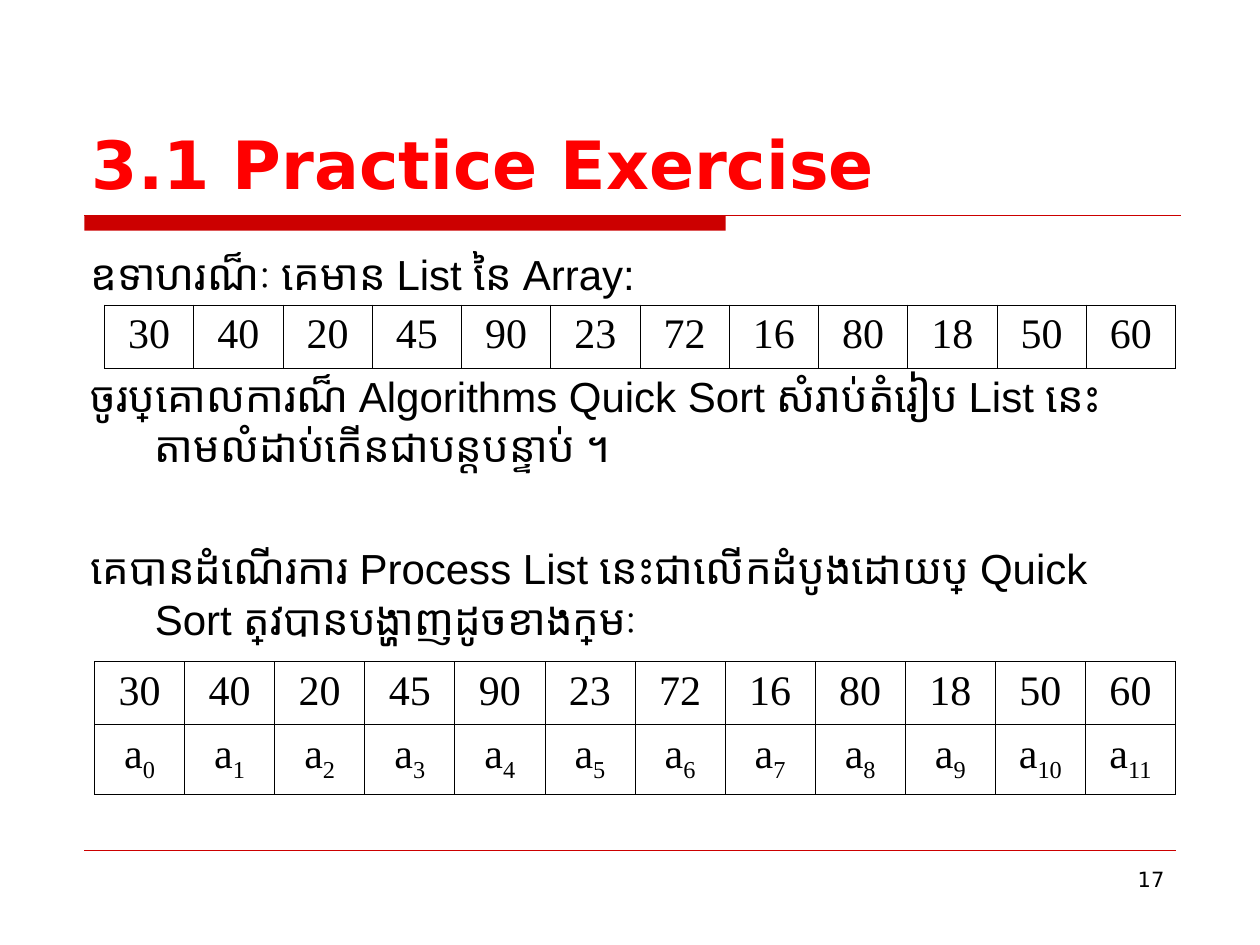
import pptx
import pptx.dml.color
import pptx.enum.shapes
import pptx.enum.text
import pptx.oxml
import pptx.oxml.ns
import pptx.util
from lxml import etree

Inches = pptx.util.Inches
Pt = pptx.util.Pt
PP_ALIGN = pptx.enum.text.PP_ALIGN
MSO_ANCHOR = pptx.enum.text.MSO_ANCHOR
qn = pptx.oxml.ns.qn

BLACK = pptx.dml.color.RGBColor(0x00, 0x00, 0x00)
TITLE_RED = pptx.dml.color.RGBColor(0xFF, 0x00, 0x00)
RULE_RED = pptx.dml.color.RGBColor(0xCC, 0x00, 0x00)

NUMBERS = [30, 40, 20, 45, 90, 23, 72, 16, 80, 18, 50, 60]
PARAGRAPHS = [
    "ឧទាហរណ៏ៈ គេមាន List នៃ Array:",
    "ចូរប្រើគោលការណ៏ Algorithms Quick Sort សំរាប់តំរៀប List នេះតាមលំដាប់កើនជាបន្តបន្ទាប់ ។",
    "គេបានដំណើរការ Process List នេះជាលើកដំបូងដោយប្រើ Quick Sort ត្រូវបានបង្ហាញដូចខាងក្រោមៈ",
]


def write(paragraph, text, font="Arial", size=24, color=BLACK, bold=False,
          align=PP_ALIGN.LEFT, baseline=0):
    paragraph.alignment = align
    run = paragraph.add_run()
    run.text = text
    run.font.name = font
    run.font.size = Pt(size)
    run.font.bold = bold
    run.font.color.rgb = color
    if baseline:
        run._r.get_or_add_rPr().set("baseline", str(baseline * 1000))


def add_frame(slide, left, top, width, height, anchor=MSO_ANCHOR.TOP):
    box = slide.shapes.add_textbox(Inches(left), Inches(top), Inches(width), Inches(height))
    frame = box.text_frame
    frame.word_wrap = True
    frame.vertical_anchor = anchor
    return frame


def add_rule(slide, left, top, width, weight):
    rule = slide.shapes.add_connector(
        pptx.enum.shapes.MSO_CONNECTOR.STRAIGHT,
        Inches(left), Inches(top), Inches(left + width), Inches(top))
    rule.line.color.rgb = RULE_RED
    rule.line.width = Pt(weight)
    etree.SubElement(rule._element.spPr, qn("a:effectLst"))


def add_title_rule(slide, left, top, width, height):
    bar = slide.shapes.add_shape(
        pptx.enum.shapes.MSO_SHAPE.RECTANGLE,
        Inches(left), Inches(top), Inches(width * 0.585), Inches(height))
    bar.shadow.inherit = False
    bar.fill.solid()
    bar.fill.fore_color.rgb = RULE_RED
    bar.line.fill.background()
    add_rule(slide, left, top, width, 0.75)


def add_title(slide, left, top, width, height):
    frame = add_frame(slide, left, top, width, height, MSO_ANCHOR.BOTTOM)
    write(frame.paragraphs[0], "3.1 Practice Exercise",
          font="DejaVu Sans", size=38, color=TITLE_RED, bold=True)


def add_body(slide, left, top, width, height):
    frame = add_frame(slide, left, top, width, height)
    for index, text in enumerate(PARAGRAPHS):
        paragraph = frame.add_paragraph() if index else frame.paragraphs[0]
        properties = paragraph._p.get_or_add_pPr()
        properties.set("marL", str(Inches(0.51)))
        properties.set("indent", str(-Inches(0.51)))
        if index:
            paragraph.space_before = Pt(41)
        write(paragraph, text)


def add_borders(cell):
    properties = cell._tc.get_or_add_tcPr()
    for position, side in enumerate(("lnL", "lnR", "lnT", "lnB")):
        border = pptx.oxml.parse_xml(
            f'<a:{side} {pptx.oxml.ns.nsdecls("a")} w="{Pt(0.45)}">'
            f'<a:solidFill><a:srgbClr val="{BLACK}"/></a:solidFill></a:{side}>')
        properties.insert(position, border)


def add_array(slide, left, top, width, row_heights):
    graphic = slide.shapes.add_table(
        len(row_heights), len(NUMBERS), Inches(left), Inches(top),
        Inches(width), Inches(sum(row_heights)))
    array = graphic.table
    array.first_row = False
    array.horz_banding = False
    for column in array.columns:
        column.width = Inches(width / len(NUMBERS))
    for row_index, height in enumerate(row_heights):
        array.rows[row_index].height = Inches(height)
        for index, number in enumerate(NUMBERS):
            cell = array.cell(row_index, index)
            cell.fill.background()
            cell.margin_left = cell.margin_right = Inches(0.08)
            add_borders(cell)
            paragraph = cell.text_frame.paragraphs[0]
            style = {"font": "Times New Roman", "align": PP_ALIGN.CENTER}
            if row_index == 0:
                write(paragraph, str(number), **style)
            else:
                write(paragraph, "a", **style)
                write(paragraph, str(index), baseline=-25, **style)


def add_page_number(slide, left, top, width, height):
    frame = add_frame(slide, left, top, width, height)
    write(frame.paragraphs[0], "17", font="DejaVu Sans", size=12, align=PP_ALIGN.RIGHT)


def main():
    presentation = pptx.Presentation()
    presentation.slide_width = Inches(10)
    presentation.slide_height = Inches(7.5)
    slide = presentation.slides.add_slide(presentation.slide_layouts[6])
    add_title_rule(slide, 0.67, 1.71, 8.7, 0.12)
    add_rule(slide, 0.67, 6.75, 8.66, 0.25)
    add_title(slide, 0.63, 0.33, 8.75, 1.33)
    add_body(slide, 0.62, 1.92, 8.75, 4.67)
    add_array(slide, 0.83, 2.42, 8.5, [0.4])
    add_array(slide, 0.75, 5.25, 8.58, [0.4, 0.46])
    add_page_number(slide, 7.17, 6.83, 2.17, 0.52)
    presentation.save("out.pptx")


if __name__ == "__main__":
    main()
